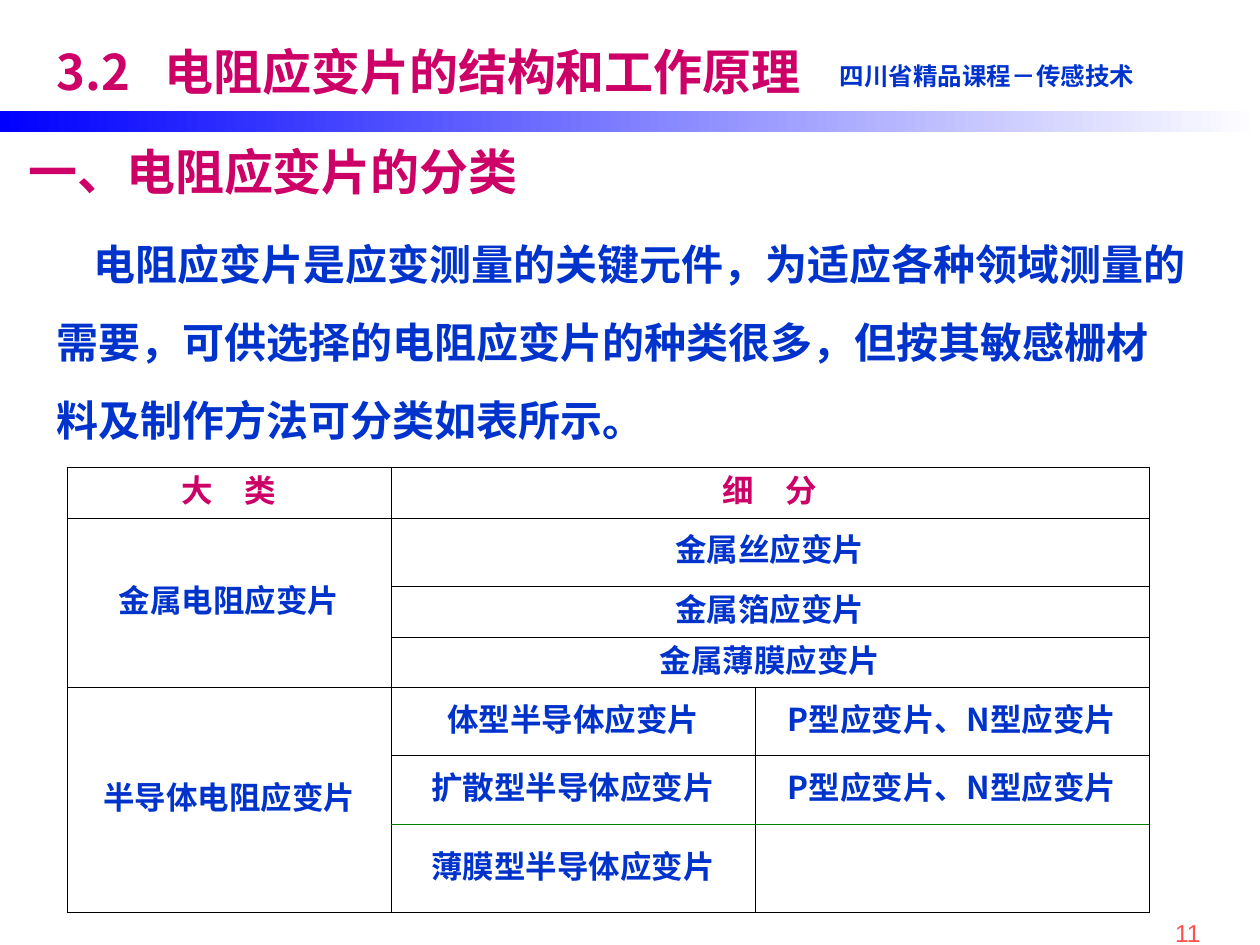
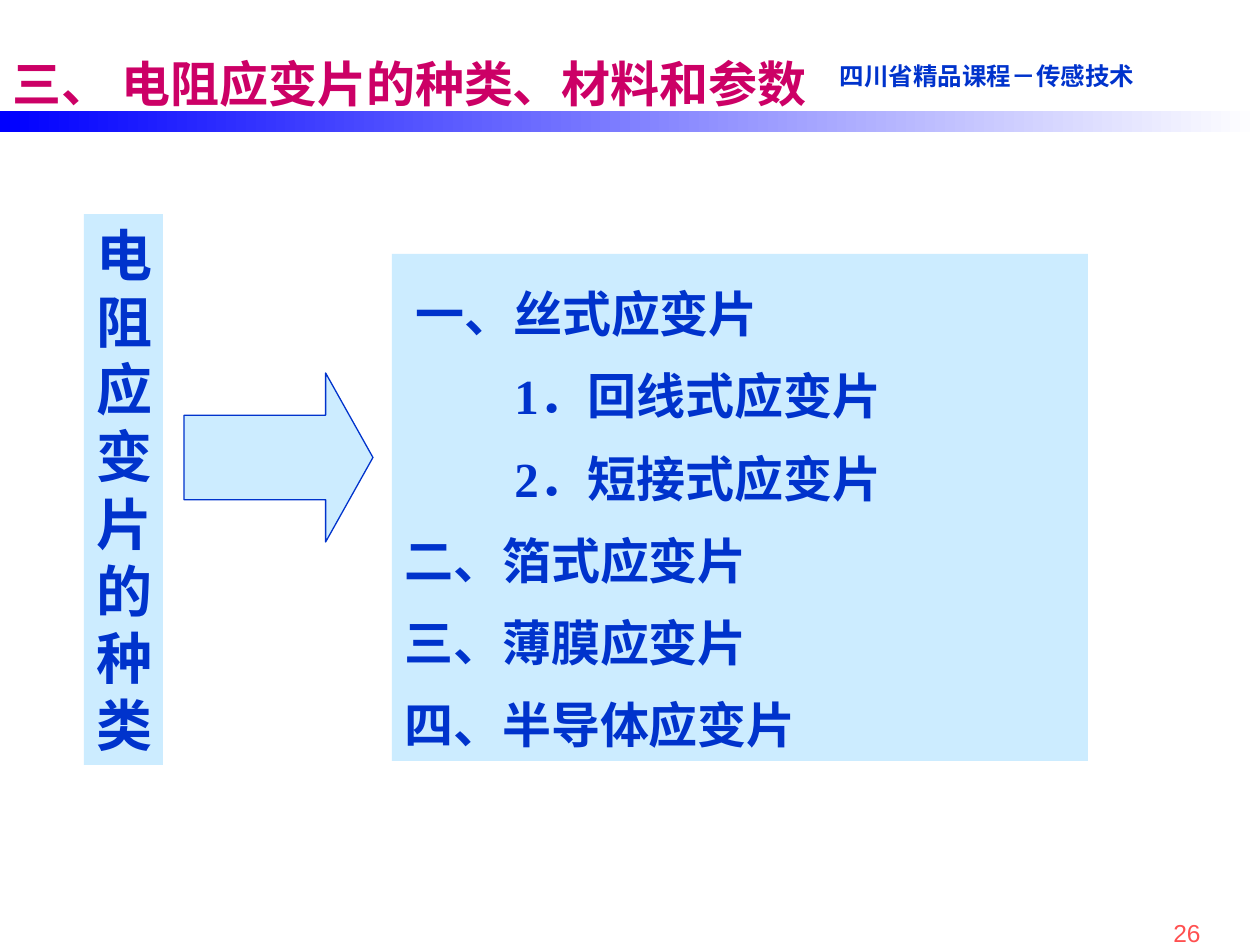
from lxml import etree
from pptx import Presentation
from pptx import util as u
from pptx.dml.color import RGBColor
from pptx.enum import shapes, text
from pptx.oxml.ns import qn

PX_PER_INCH = 126
CJK = "Noto Sans CJK SC"
SERIF = "Times New Roman"
BLUE, MAGENTA, PALE, RED = "0033CC", "CC0066", "CCECFF", "FF5050"
BLACK, GREEN = "000000", "008000"
CENTER, RIGHT = text.PP_ALIGN.CENTER, text.PP_ALIGN.RIGHT


def px(length):
    return u.Emu(round(length * 914400 / PX_PER_INCH))


def rgb(hex_colour):
    return RGBColor.from_string(hex_colour)


def write(frame, words, size=18, font=CJK, colour=BLUE, bold=True, align=text.PP_ALIGN.LEFT,
          anchor=text.MSO_ANCHOR.TOP, spacing=1, indents=(), tab=None):
    """Fill a text frame, one paragraph a line; indents are first-line indents in px."""
    frame.word_wrap = True
    frame.auto_size = text.MSO_AUTO_SIZE.NONE
    frame.vertical_anchor = anchor
    frame.margin_left = frame.margin_right = u.Inches(0.1)
    frame.margin_top = frame.margin_bottom = u.Inches(0.05)
    for index, line in enumerate(words.split("\n")):
        paragraph = frame.paragraphs[0] if index == 0 else frame.add_paragraph()
        paragraph.alignment = align
        paragraph.line_spacing = u.Pt(round(size * 1.2 * spacing, 1))
        properties = paragraph._p.get_or_add_pPr()
        if index < len(indents):
            properties.set("marL", "0")
            properties.set("indent", str(px(indents[index])))
        if tab:
            stops = etree.SubElement(properties, qn("a:tabLst"))
            etree.SubElement(stops, qn("a:tab"), pos=str(px(tab)), algn="l")
        run = paragraph.add_run()
        run.text = line
        run.font.size, run.font.bold, run.font.name = u.Pt(size), bold, font
        run.font.color.rgb = rgb(colour)
        etree.SubElement(run._r.get_or_add_rPr(), qn("a:ea"), typeface=CJK)


def set_borders(cell, **colours):
    """Draw thin lines on the sides L, R, T and B of a cell."""
    properties = cell._tc.get_or_add_tcPr()
    for position, side in enumerate("LRTB"):
        line = etree.Element(qn(f"a:ln{side}"), w=str(u.Pt(0.45)))
        fill = etree.SubElement(line, qn("a:solidFill"))
        etree.SubElement(fill, qn("a:srgbClr"), val=colours.get(side, BLACK))
        properties.insert(position, line)


class Deck:
    def __init__(self):
        self.presentation = Presentation()
        self.presentation.slide_width = u.Inches(10)
        self.presentation.slide_height = u.Inches(7.5)
        self.slide = None

    def add_slide(self, title, box, number, tab=None):
        self.slide = self.presentation.slides.add_slide(self.presentation.slide_layouts[5])
        band = self.shape((0, 111, 1260, 21))
        band.fill.gradient()
        band.fill.gradient_angle = 0
        for stop, colour in zip(band.fill.gradient_stops, ("0000FF", "FFFFFF")):
            stop.color.rgb = rgb(colour)
        self.text("四川省精品课程－传感技术", (809, 55, 338, 43), size=14, font="Arial", align=RIGHT)
        self.text(str(number), (868, 912, 345, 33), size=14, font="Arial", colour=RED,
                  bold=False, align=RIGHT)
        heading = self.slide.shapes.title
        heading.left, heading.top, heading.width, heading.height = map(px, box)
        write(heading.text_frame, title, size=28, colour=MAGENTA, tab=tab)

    def text(self, words, box, **style):
        frame = self.slide.shapes.add_textbox(*map(px, box)).text_frame
        write(frame, words, **style)

    def shape(self, box, kind=shapes.MSO_SHAPE.RECTANGLE, fill=PALE, line=None):
        shape = self.slide.shapes.add_shape(kind, *map(px, box))
        shape.shadow.inherit = False
        shape.fill.solid()
        shape.fill.fore_color.rgb = rgb(fill)
        if line:
            shape.line.color.rgb = rgb(line)
            shape.line.width = u.Pt(0.75)
        else:
            shape.line.fill.background()
        return shape

    def panel(self, words, box, **style):
        write(self.shape(box).text_frame, words, font=SERIF, **style)

    def table(self, rows, left, top, widths, heights, merges, green_row):
        """Draw a grid with a green line above green_row, right of the first column."""
        frame = self.slide.shapes.add_table(
            len(heights), len(widths), *map(px, (left, top, sum(widths), sum(heights))))
        table = frame.table
        table.first_row = table.horz_banding = False
        for column, width in zip(table.columns, widths):
            column.width = px(width)
        for row, height in zip(table.rows, heights):
            row.height = px(height)
        for first, last in merges:
            table.cell(*first).merge(table.cell(*last))
        for r, row in enumerate(rows):
            for c, words in enumerate(row):
                cell = table.cell(r, c)
                cell.fill.background()
                accents = {}
                if c and r == green_row - 1:
                    accents["B"] = GREEN
                elif c and r == green_row:
                    accents["T"] = GREEN
                set_borders(cell, **accents)
                cell.vertical_anchor = text.MSO_ANCHOR.MIDDLE
                if words:
                    write_cell(cell, words, MAGENTA if r == 0 else BLUE)


def write_cell(cell, words, colour):
    paragraph = cell.text_frame.paragraphs[0]
    paragraph.alignment = CENTER
    paragraph.line_spacing = u.Pt(21.6)
    run = paragraph.add_run()
    run.text = words
    run.font.size, run.font.bold, run.font.name = u.Pt(18), True, CJK
    run.font.color.rgb = rgb(colour)
    etree.SubElement(run._r.get_or_add_rPr(), qn("a:ea"), typeface=CJK)


def classification_slide(deck):
    deck.add_slide("3.2\t电阻应变片的结构和工作原理", (44, 35, 814, 131), 11, tab=108)
    deck.text("一、电阻应变片的分类", (5, 135, 580, 72), size=28, colour=MAGENTA, indents=[11])
    deck.text("电阻应变片是应变测量的关键元件，为适应各种领域测量的需要，可供选择的电阻应变片的种类很多，"
              "但按其敏感栅材料及制作方法可分类如表所示。", (44, 204, 1156, 247),
              size=24, spacing=1.55, anchor=text.MSO_ANCHOR.MIDDLE, indents=[37])
    p_and_n = "P型应变片、N型应变片"
    rows = [
        ("大　类", "细　分", ""),
        ("金属电阻应变片", "金属丝应变片", ""),
        ("", "金属箔应变片", ""),
        ("", "金属薄膜应变片", ""),
        ("半导体电阻应变片", "体型半导体应变片", p_and_n),
        ("", "扩散型半导体应变片", p_and_n),
        ("", "薄膜型半导体应变片", ""),
    ]
    merges = [((r, 1), (r, 2)) for r in range(4)] + [((r, 0), (r + 2, 0)) for r in (1, 4)]
    deck.table(rows, 67, 467, (324, 364, 394), (51, 68, 51, 50, 68, 69, 88), merges, green_row=6)


def kinds_slide(deck):
    deck.add_slide("三、 电阻应变片的种类、材料和参数", (0, 47, 888, 72), 26)
    deck.panel("一、丝式应变片\n1．回线式应变片\n2．短接式应变片\n二、箔式应变片\n三、薄膜应变片\n四、半导体应变片",
               (392, 254, 696, 507), size=28, spacing=1.4, indents=[11, 110, 110])
    deck.panel("电阻应变片的种类", (84, 214, 79, 551), size=32)
    arrow = deck.shape((184, 373, 189, 169), shapes.MSO_SHAPE.RIGHT_ARROW, line=BLUE)
    arrow.adjustments[1] = 0.28


def main():
    deck = Deck()
    classification_slide(deck)
    kinds_slide(deck)
    deck.presentation.save("out.pptx")


if __name__ == "__main__":
    main()
